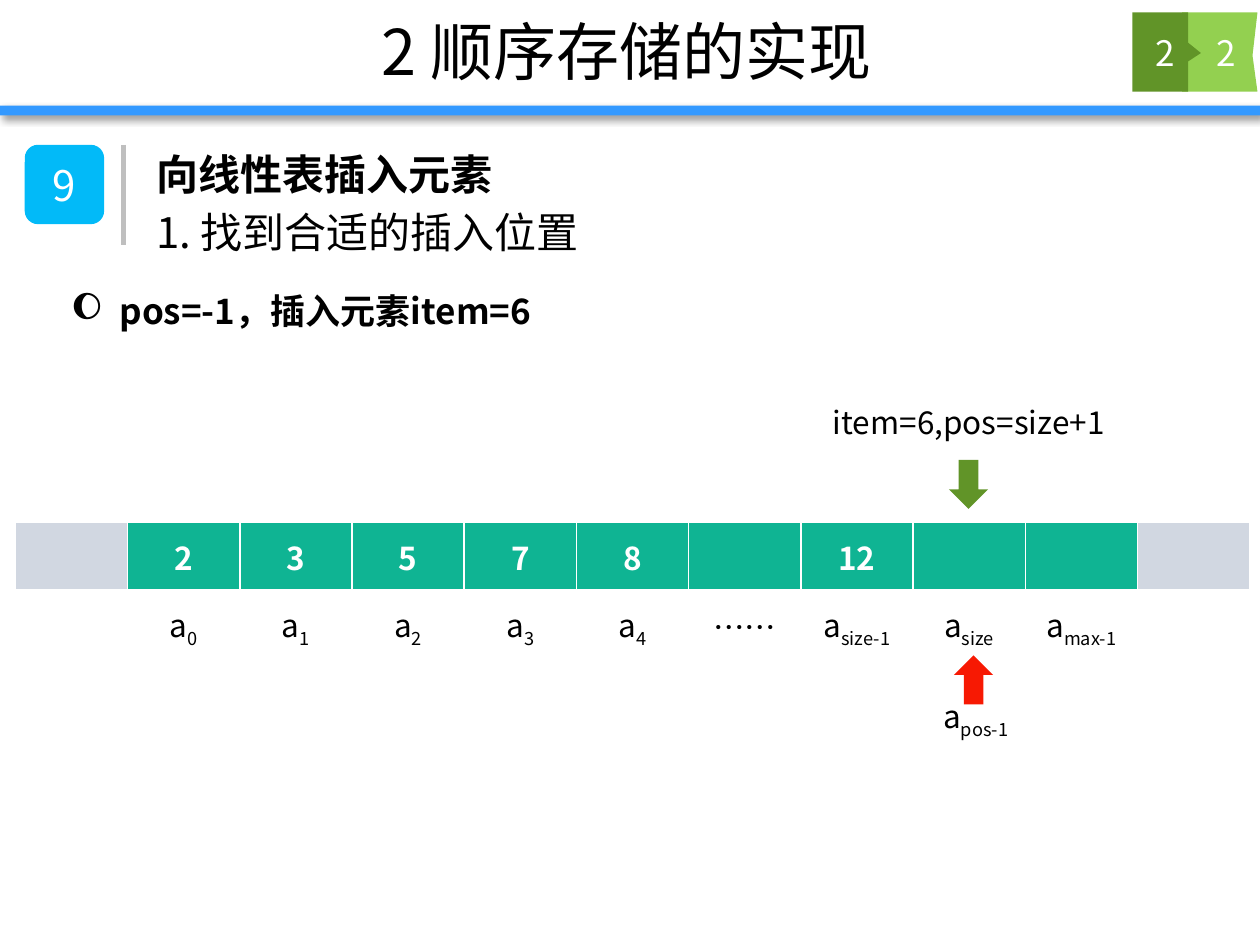
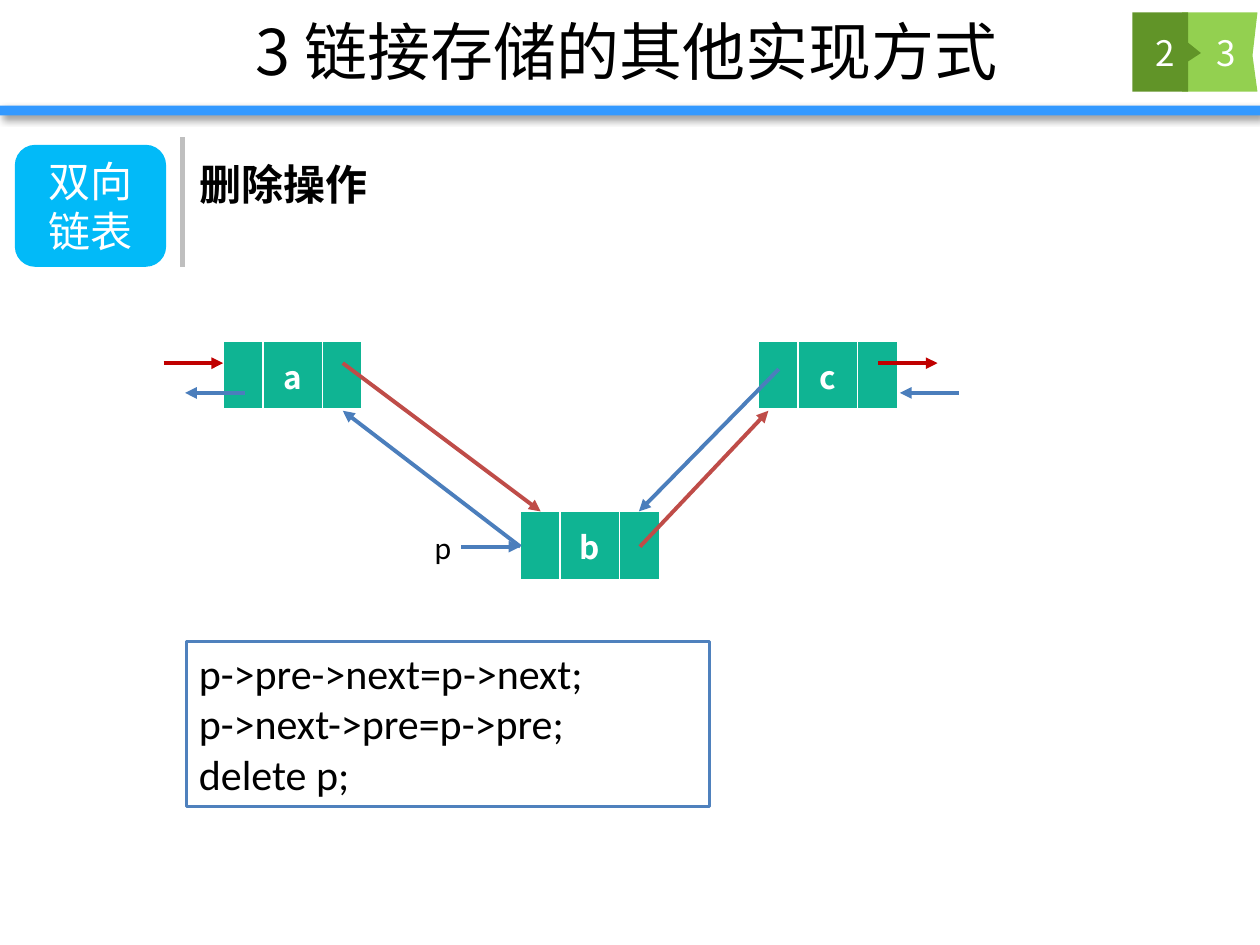
import pptx
import pptx.util
import pptx.dml.color
import pptx.enum.shapes
import pptx.enum.text
import pptx.oxml
import pptx.oxml.ns

Cm, Pt = pptx.util.Cm, pptx.util.Pt
Shape = pptx.enum.shapes.MSO_SHAPE
Align = pptx.enum.text.PP_ALIGN
Anchor = pptx.enum.text.MSO_ANCHOR

HUES = {
    "band": "3399FF", "lime": "93D050", "moss": "619428", "sky": "02BAF8",
    "teal": "0FB493", "pale": "D1D7E1", "grey": "BFBFBF", "red": "F71903",
    "white": "FFFFFF", "black": "000000", "next": "BF4C48", "pre": "4B7EBC",
    "wine": "C00000", "frame": "4F81BD",
}
SANS, CODE = "Noto Sans CJK SC", "Calibri"
ROW = 1.4


def hue(name):
    return pptx.dml.color.RGBColor.from_string(HUES[name])


def add_xml(parent, xml):
    """Append a DrawingML element, given without its namespace."""
    head, tail = xml.split(" ", 1)
    node = pptx.oxml.parse_xml(f"{head} {pptx.oxml.ns.nsdecls('a')} {tail}")
    parent.append(node)


# Text
def write(frame, text, size=18, color="black", bold=False, font=SANS,
          align=Align.LEFT, anchor=None, space=None, bullet=None):
    """Fill a frame; newlines split paragraphs, an underscore starts a subscript."""
    frame.word_wrap = True
    if anchor is not None:
        frame.vertical_anchor = anchor
    for i, line in enumerate(text.split("\n")):
        para = frame.add_paragraph() if i else frame.paragraphs[0]
        para.alignment = align
        if space:
            para.line_spacing = space
        if bullet:
            props = para._p.get_or_add_pPr()
            props.set("marL", str(Cm(0.97)))
            props.set("indent", str(-Cm(0.97)))
            add_xml(props, '<a:buSzPct val="86000"/>')
            add_xml(props, f'<a:buChar char="{bullet}"/>')
        base, _, sub = line.partition("_")
        for part, low in ((base, False), (sub, True)):
            if not part:
                continue
            run = para.add_run()
            run.text = part
            run.font.size, run.font.bold, run.font.name = Pt(size), bold, font
            run.font.color.rgb = hue(color)
            props = run._r.get_or_add_rPr()
            add_xml(props, f'<a:ea typeface="{font}"/>')
            if low:
                props.set("baseline", "-25000")


def label(slide, text, x, y, w, h, **form):
    box = slide.shapes.add_textbox(Cm(x), Cm(y), Cm(w), Cm(h))
    write(box.text_frame, text, **form)


# Shapes and lines
def paint(shape, fill, edge=None):
    shape.shadow.inherit = False
    shape.fill.solid()
    shape.fill.fore_color.rgb = hue(fill)
    if edge:
        shape.line.color.rgb = hue(edge)
        shape.line.width = Pt(2)
    else:
        shape.line.fill.background()


def block(slide, kind, x, y, w, h, fill, edge=None):
    shape = slide.shapes.add_shape(kind, Cm(x), Cm(y), Cm(w), Cm(h))
    paint(shape, fill, edge)
    return shape


def outline(slide, points, fill):
    first, *rest = [(Cm(x), Cm(y)) for x, y in points]
    form = slide.shapes.build_freeform(*first)
    form.add_line_segments(rest, close=True)
    paint(form.convert_to_shape(), fill)


def rule(slide, start, end, color, width=2.25, arrow=True):
    line = slide.shapes.add_connector(
        pptx.enum.shapes.MSO_CONNECTOR.STRAIGHT,
        *[Cm(n) for n in (*start, *end)])
    line.line.color.rgb = hue(color)
    line.line.width = Pt(width)
    if arrow:
        add_xml(line.line._get_or_add_ln(), '<a:tailEnd type="triangle"/>')
    add_xml(line._element.spPr, "<a:effectLst />")


# Tables
def cell_style(cell, fill, base):
    props = cell._tc.get_or_add_tcPr()
    for side, width in (("L", 1), ("R", 1), ("T", 1), ("B", base)):
        add_xml(props, f'<a:ln{side} w="{Pt(width)}"><a:solidFill>'
                       f'<a:srgbClr val="{HUES["white"]}"/></a:solidFill></a:ln{side}>'
                .replace(f"<a:ln{side} w", f"<a:ln{side} w", 1))
    if fill:
        cell.fill.solid()
        cell.fill.fore_color.rgb = hue(fill)
    else:
        cell.fill.background()
    cell.vertical_anchor = Anchor.MIDDLE


def grid(slide, x, y, widths, rows, fills):
    """Draw a filled row of values, with an optional row of plain names below."""
    table = slide.shapes.add_table(
        len(rows), len(widths), Cm(x), Cm(y),
        Cm(sum(widths)), Cm(ROW * len(rows))).table
    table.first_row = table.horz_banding = False
    for col, width in zip(table.columns, widths):
        col.width = Cm(width)
    for r, row in enumerate(rows):
        top = r == 0
        table.rows[r].height = Cm(ROW)
        for c, text in enumerate(row):
            cell = table.cell(r, c)
            cell_style(cell, fills[c] if top else None, 3 if top else 1)
            write(cell.text_frame, text, bold=top, align=Align.CENTER,
                  color="white" if top else "black")


def node(slide, name, x, y):
    grid(slide, x, y, [0.8, 1.2, 0.8], [["", name, ""]], ["teal"] * 3)


# Shared page parts
def page(deck, title, part):
    slide = deck.slides.add_slide(deck.slide_layouts[6])
    band = block(slide, Shape.RECTANGLE, 0, 2.13, 25.4, 0.2, "band")
    add_xml(band._element.spPr.find(pptx.oxml.ns.qn("a:effectLst")),
            f'<a:outerShdw blurRad="{Pt(4)}" dist="{Pt(3)}" dir="2700000">'
            '<a:srgbClr val="000000"><a:alpha val="40000"/></a:srgbClr></a:outerShdw>')
    outline(slide, [(23.83, 0.25), (25.35, 0.25), (25.25, 1.12),
                    (25.35, 1.85), (23.83, 1.85)], "lime")
    outline(slide, [(22.83, 0.25), (23.95, 0.25), (23.95, 0.86), (24.21, 1.07),
                    (23.95, 1.24), (23.95, 1.85), (22.83, 1.85)], "moss")
    mid = {"align": Align.CENTER, "anchor": Anchor.MIDDLE}
    label(slide, title, 2.49, 0.03, 20.29, 1.96, size=36, **mid)
    for text, x in ((part, 23.93), ("2", 22.71)):
        label(slide, text, x, 0.25, 1.57, 1.6, size=20, color="white", **mid)
    return slide


def topic(slide, tag, x, w, h, bar, top, foot):
    """Draw the rounded tag and the grey bar beside it."""
    badge = block(slide, Shape.ROUNDED_RECTANGLE, x, 2.92, w, h, "sky")
    write(badge.text_frame, tag, size=24, color="white",
          align=Align.CENTER, anchor=Anchor.MIDDLE)
    rule(slide, (bar, top), (bar, foot), "grey", width=3, arrow=False)


def insert_page(deck):
    slide = page(deck, "2 顺序存储的实现", "2")
    topic(slide, "9", 0.5, 1.6, 1.6, 2.49, 2.92, 4.93)
    label(slide, "向线性表插入元素", 2.9, 2.67, 22.4, 1.5,
          size=24, bold=True, space=1.2)
    label(slide, "1. 找到合适的插入位置", 2.9, 3.84, 22.4, 1.37, size=24, space=1.2)

    # Array cells and their names
    values = ["", "2", "3", "5", "7", "8", "", "12", "", "", ""]
    names = ["", *[f"a_{i}" for i in range(5)],
             "……", "a_size-1", "a_size", "a_max-1", ""]
    count = len(values)
    grid(slide, 0.31, 10.52, [24.89 / count] * count, [values, names],
         ["pale", *["teal"] * (count - 2), "pale"])

    # Insert position
    block(slide, Shape.DOWN_ARROW, 19.13, 9.27, 0.79, 0.99, "moss")
    label(slide, "item=6,pos=size+1", 16.28, 8, 6.5, 1.02,
          align=Align.CENTER, anchor=Anchor.MIDDLE)
    label(slide, "pos=-1，插入元素item=6", 1.19, 5.54, 12.9, 1.27,
          size=20, bold=True, space=1.2, bullet="🌔")
    mark = block(slide, Shape.DOWN_ARROW, 19.23, 13.21, 0.79, 0.99, "red")
    mark.rotation = 180
    label(slide, "a_pos-1", 18.64, 13.92, 2.06, 1.02, align=Align.CENTER)


def delete_page(deck):
    slide = page(deck, "3 链接存储的其他实现方式", "3")
    topic(slide, "双向链表", 0.3, 3.05, 2.46, 3.68, 2.77, 5.38)
    label(slide, "删除操作", 3.78, 2.87, 21.5, 1.37, size=24, bold=True, space=1.2)

    # List nodes and the links between them
    for name, x, y in (("b", 10.49, 10.31), ("a", 4.5, 6.88), ("c", 15.29, 6.88)):
        node(slide, name, x, y)
    label(slide, "p", 8.51, 10.52, 0.79, 1.02, font=CODE)
    links = [
        ((9.3, 11.02), (10.49, 11.02), "pre"),
        ((3.3, 7.32), (4.5, 7.32), "wine"),
        ((4.93, 7.92), (3.73, 7.92), "pre"),
        ((6.91, 7.32), (10.9, 10.31), "next"),
        ((17.7, 7.32), (18.9, 7.32), "wine"),
        ((19.33, 7.92), (18.14, 7.92), "pre"),
        ((10.49, 11.02), (6.91, 8.28), "pre"),
        ((12.9, 11.02), (15.49, 8.28), "next"),
        ((15.7, 7.44), (12.88, 10.31), "pre"),
    ]
    for start, end, color in links:
        rule(slide, start, end, color)

    # Code
    box = block(slide, Shape.RECTANGLE, 3.76, 12.93, 10.54, 3.33, "white", "frame")
    write(box.text_frame, "p->pre->next=p->next;\np->next->pre=p->pre;\ndelete p;",
          size=24, font=CODE, anchor=Anchor.TOP)


def main():
    deck = pptx.Presentation()
    deck.slide_width, deck.slide_height = Cm(25.4), Cm(19.05)
    insert_page(deck)
    delete_page(deck)
    deck.save("out.pptx")


if __name__ == "__main__":
    main()
